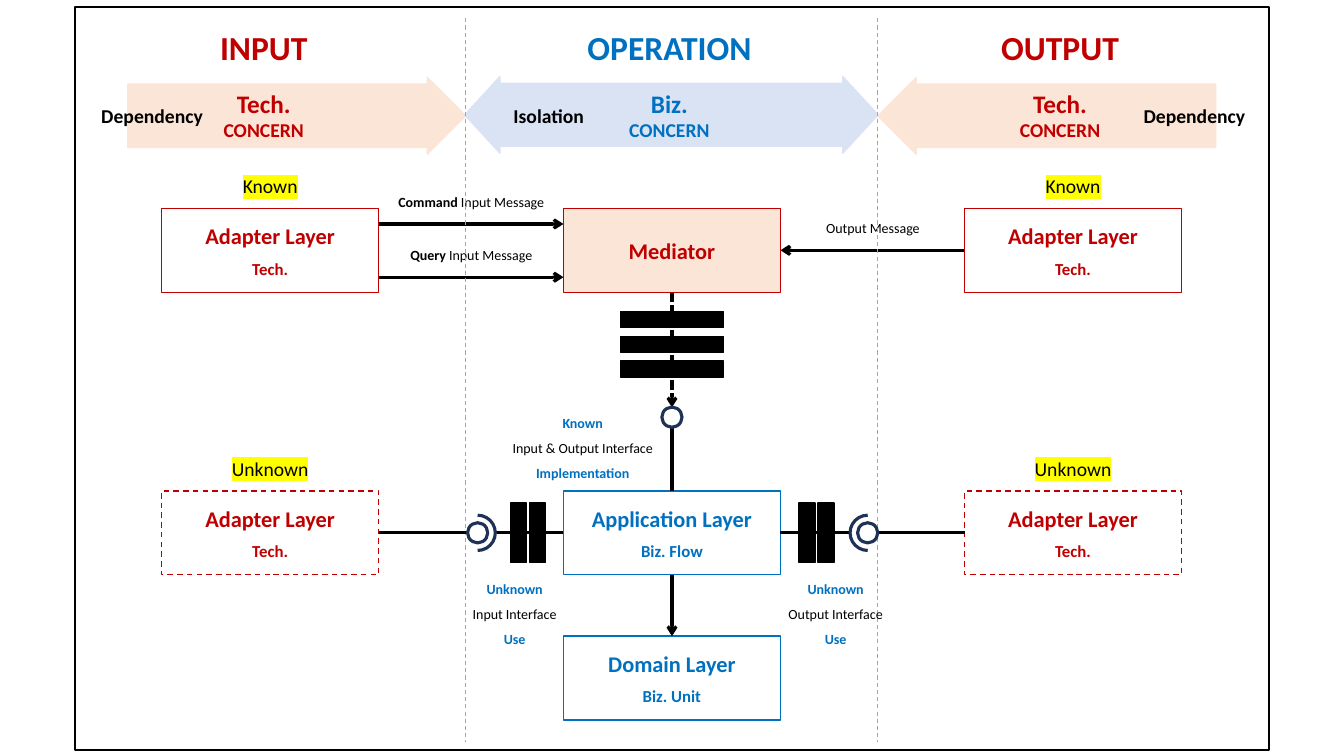
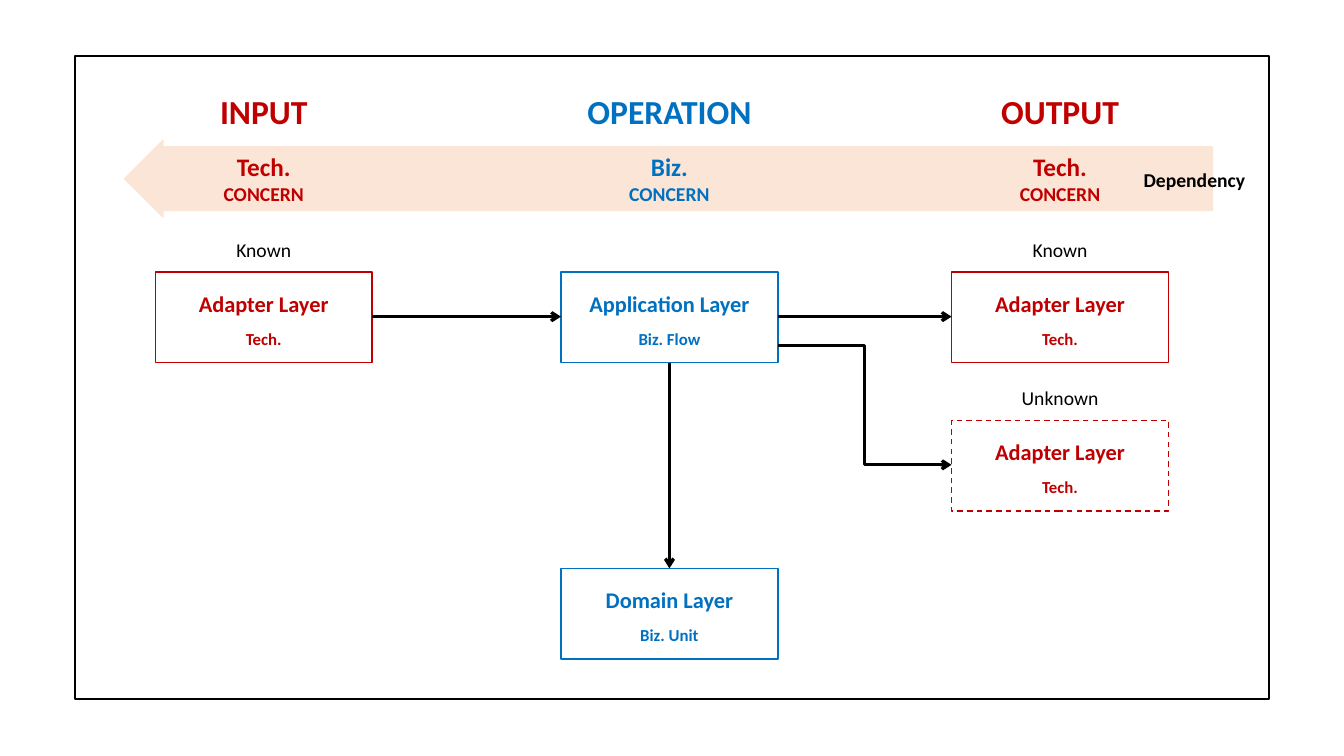
from pptx import Presentation
from pptx.dml.color import RGBColor
from pptx.enum.dml import MSO_LINE
from pptx.enum.shapes import MSO_CONNECTOR, MSO_SHAPE
from pptx.enum.text import MSO_ANCHOR, PP_ALIGN
from pptx.oxml.ns import qn
from pptx.util import Pt
from lxml import etree

RED = RGBColor(0xC0, 0x00, 0x00)
BLUE = RGBColor(0x00, 0x70, 0xC0)
BLACK = RGBColor(0x00, 0x00, 0x00)
WHITE = RGBColor(0xFF, 0xFF, 0xFF)
NAVY = RGBColor(0x1E, 0x32, 0x56)
GREY = RGBColor(0xA6, 0xA6, 0xA6)
PEACH = RGBColor(0xFB, 0xE5, 0xD6)
PALE_BLUE = RGBColor(0xDA, 0xE3, 0xF3)
YELLOW = RGBColor(0xFF, 0xFF, 0x00)

RECT, OVAL, ARC = MSO_SHAPE.RECTANGLE, MSO_SHAPE.OVAL, MSO_SHAPE.ARC
RIGHT_ARROW, LEFT_ARROW = MSO_SHAPE.RIGHT_ARROW, MSO_SHAPE.LEFT_ARROW
BOTH_ARROW = MSO_SHAPE.LEFT_RIGHT_ARROW
STRAIGHT, ELBOW = MSO_CONNECTOR.STRAIGHT, MSO_CONNECTOR.ELBOW
DASH, SHORT_DASH = MSO_LINE.DASH, MSO_LINE.SQUARE_DOT
CENTER, MIDDLE = PP_ALIGN.CENTER, MSO_ANCHOR.MIDDLE

FONT = "Calibri"
BOX_W = 155
HALF = BOX_W / 2
COLUMNS = (188.4, 478.2, 757.2)  # centres of the column headings
ADAPTER = ("Adapter Layer", "Tech.", RED)
APPLICATION = ("Application Layer", "Biz. Flow", BLUE)
DOMAIN = ("Domain Layer", "Biz. Unit", BLUE)


class Deck:
    """Holds the presentation, the current slide and the shared style."""

    def __init__(self):
        self.prs = Presentation()
        self.prs.slide_width, self.prs.slide_height = Pt(960), Pt(540)

    def new_slide(self, frame_top, frame_h, box_h, box_gap, box_inset):
        self.s = self.prs.slides.add_slide(self.prs.slide_layouts[6])
        self.box_h, self.box_gap, self.box_inset = box_h, box_gap, box_inset
        self.shape(RECT, 53.3, frame_top, 853.2, frame_h, line=BLACK, width=1.5)

    def shape(self, kind, x, y, w, h, fill=None, line=None, width=1, dash=None, adj=()):
        sp = self.s.shapes.add_shape(kind, Pt(x), Pt(y), Pt(w), Pt(h))
        sp.shadow.inherit = False
        for i, value in enumerate(adj):
            sp.adjustments[i] = value
        if fill is None:
            sp.fill.background()
        else:
            sp.fill.solid()
            sp.fill.fore_color.rgb = fill
        sp.line.color.rgb = line
        sp.line.width = Pt(width)
        if dash:
            sp.line.dash_style = dash
        return sp

    def format_run(self, r, size, color, bold):
        r.font.name, r.font.size, r.font.bold = FONT, Pt(size), bold
        r.font.color.rgb = color

    def set_lines(self, tf, lines):
        """Fill a text frame; each line is (text, size, color, bold)."""
        tf.text = "\n".join(line[0] for line in lines)
        tf.vertical_anchor = MIDDLE
        for p, (_, size, color, bold) in zip(tf.paragraphs, lines):
            p.alignment = CENTER
            self.format_run(p.runs[0], size, color, bold)

    def label(self, cx, cy, w, h, *lines):
        """Text centred on a point."""
        sp = self.s.shapes.add_textbox(Pt(cx - w / 2), Pt(cy - h / 2), Pt(w), Pt(h))
        tf = sp.text_frame
        tf.word_wrap = False
        self.set_lines(tf, lines)
        return tf

    def state(self, cx, cy, text, highlight):
        tf = self.label(cx, cy, 70, 24, (text, 14, BLACK, False))
        if highlight:
            fill = tf.paragraphs[0].runs[0].font._element.find(qn("a:solidFill"))
            mark = etree.Element(qn("a:highlight"))
            etree.SubElement(mark, qn("a:srgbClr"), val=str(highlight))
            fill.addnext(mark)

    def box(self, cx, top, layer, state=None, highlight=None, dash=None, fill=None):
        """Layer box with a name, a detail and an optional state above it."""
        name, detail, color = layer
        sp = self.shape(RECT, cx - HALF, top, BOX_W, self.box_h, fill, color, dash=dash)
        tf = sp.text_frame
        lines = [(name, 16, color, True)]
        if detail:
            lines.append((detail, 12, color, True))
        self.set_lines(tf, lines)
        tf.margin_bottom = 0
        tf.margin_top = Pt(self.box_inset)
        if detail:
            tf.paragraphs[1].space_before = Pt(self.box_gap)
        if state:
            self.state(cx, top - 16.2, state, highlight)

    def line(self, x1, y1, x2, y2, arrow=False, color=BLACK, width=2.25, dash=None,
             kind=STRAIGHT):
        c = self.s.shapes.add_connector(kind, Pt(x1), Pt(y1), Pt(x2), Pt(y2))
        c.line.color.rgb = color
        c.line.width = Pt(width)
        if dash:
            c.line.dash_style = dash
        props = c._element.spPr
        if arrow:
            etree.SubElement(props.find(qn("a:ln")), qn("a:tailEnd"), type="arrow")
        etree.SubElement(props, qn("a:effectLst"))

    def band(self, kind, x, y, w, color=PEACH, adj=(0.83, 0.5)):
        self.shape(kind, x, y, w, 54.7, color, color, adj=adj)

    def headings(self, cy):
        """Column headings, with the concern of each column below."""
        columns = (("INPUT", "Tech.", RED), ("OPERATION", "Biz.", BLUE),
                   ("OUTPUT", "Tech.", RED))
        for cx, (title, concern, color) in zip(COLUMNS, columns):
            self.label(cx, cy, 132, 36, (title, 24, color, True))
            self.label(cx, cy + 48.3, 73, 46, (concern, 18, color, True),
                       ("CONCERN", 14, color, True))

    def tag(self, cx, cy, text):
        self.label(cx, cy, 88, 24, (text, 14, BLACK, True))

    def message(self, cx, line_y, text, lead=None):
        """Caption above an arrow, with an optional bold first word."""
        first = (lead, 10, BLACK, True) if lead else (text, 10, BLACK, False)
        tf = self.label(cx, line_y - 15.7, 120, 19, first)
        if lead:
            r = tf.paragraphs[0].add_run()
            r.text = " " + text
            self.format_run(r, 10, BLACK, False)

    def interface(self, cx, cy, state, name, role):
        tf = self.label(cx, cy, 116, 62, (state, 10, BLUE, True),
                        (name, 10, BLACK, False), (role, 10, BLUE, True))
        for p in tf.paragraphs:
            p.line_spacing = 1.5

    def bar(self, cx, cy, w, h):
        self.shape(RECT, cx - w / 2, cy - h / 2, w, h, BLACK, BLACK)

    def ball(self, cx, cy):
        self.shape(OVAL, cx - 7.2, cy - 7.2, 14.4, 14.4, WHITE, NAVY, 2.25)

    def socket(self, cx, cy, angles):
        self.shape(ARC, cx - 12.6, cy - 12.6, 25.2, 25.2, None, NAVY, 2.25, adj=angles)


def isolation_slide(d):
    d.new_slide(frame_top=5, frame_h=530.6, box_h=60, box_gap=6.4, box_inset=0)
    left, mid, right = 193, 480, 766.5
    top, low, bottom = 149, 350.6, 454.4
    flow_y = low + d.box_h / 2

    # Header
    d.band(RIGHT_ARROW, 91.4, 55.4, 241.2)
    d.band(BOTH_ARROW, 332, 54.7, 295.2, PALE_BLUE, (0.82, 0.46))
    d.band(LEFT_ARROW, 627.1, 55.4, 241.2)
    d.headings(33.8)
    for cx, text in ((108.7, "Dependency"), (392, "Isolation"), (853.2, "Dependency")):
        d.tag(cx, 82.8, text)

    # Messages to the mediator
    for y, lead in ((160, "Command"), (198, "Query")):
        d.line(left + HALF, y, mid - HALF, y, arrow=True)
        d.message(336.6, y, "Input Message", lead)
    d.line(right - HALF, 178.8, mid + HALF, 178.8, arrow=True)
    d.message(623.5, 178.8, "Output Message")

    # Column dividers
    for x in (332.6, 627.1):
        d.line(x, 13, x, 530, color=GREY, width=0.75, dash=DASH)

    # Layers
    for cx in (left, right):
        d.box(cx, top, ADAPTER, "Known", YELLOW)
        d.box(cx, low, ADAPTER, "Unknown", YELLOW, DASH, WHITE)
    d.box(mid, top, ("Mediator", None, RED), fill=PEACH)
    d.box(mid, low, APPLICATION, fill=WHITE)
    d.box(mid, bottom, DOMAIN, fill=WHITE)

    # Mediator to application to domain
    d.line(mid, top + d.box_h, mid, 291, arrow=True, dash=SHORT_DASH)
    for i in range(3):
        d.bar(mid, 228.4 + 17.6 * i, 73.4, 11.5)
    d.line(mid, low, mid, 305)
    d.ball(mid, 298)
    d.line(mid, low + d.box_h, mid, bottom, arrow=True)
    d.interface(416.2, 316.8, "Known", "Input & Output Interface", "Implementation")

    # Side interfaces: adapter, ball, socket, barrier, application
    sides = ((left + HALF, 341.2, 353.6, mid - HALF, (162, 54), (370.4, 384.1)),
             (right - HALF, 619.8, 607, mid + HALF, (54, 162), (576.4, 590)))
    for adapter_x, ball_x, socket_edge, app_x, angles, bars in sides:
        d.line(adapter_x, flow_y, ball_x, flow_y)
        d.line(socket_edge, flow_y, app_x, flow_y)
        d.socket(ball_x, flow_y, angles)
        d.ball(ball_x, flow_y)
        for cx in bars:
            d.bar(cx, flow_y, 11.5, 42.5)
    d.interface(367.6, 435.6, "Unknown", "Input Interface", "Use")
    d.interface(596.9, 435.6, "Unknown", "Output Interface", "Use")


def dependency_slide(d):
    d.new_slide(frame_top=40, frame_h=459.6, box_h=64.8, box_gap=8.5, box_inset=2.5)
    left, mid, right = COLUMNS
    top, low, bottom = (194.4 + 105.8 * i for i in range(3))

    # Header
    d.band(LEFT_ARROW, 89, 100.3, 777)
    d.headings(79.2)
    d.tag(853.2, 128.2, "Dependency")

    # Layers
    d.box(left, top, ADAPTER, "Known")
    d.box(mid, top, APPLICATION)
    d.box(right, top, ADAPTER, "Known")
    d.box(right, low, ADAPTER, "Unknown", dash=DASH)
    d.box(mid, bottom, DOMAIN)

    # Dependencies
    for start, end in ((left, mid), (mid, right)):
        d.line(start + HALF, 226.2, end - HALF, 226.2, arrow=True)
    d.line(mid + HALF, 247, right - HALF, 332, arrow=True, kind=ELBOW)
    d.line(mid, top + d.box_h, mid, bottom, arrow=True)


def main():
    d = Deck()
    isolation_slide(d)
    dependency_slide(d)
    d.prs.save("out.pptx")


if __name__ == "__main__":
    main()
